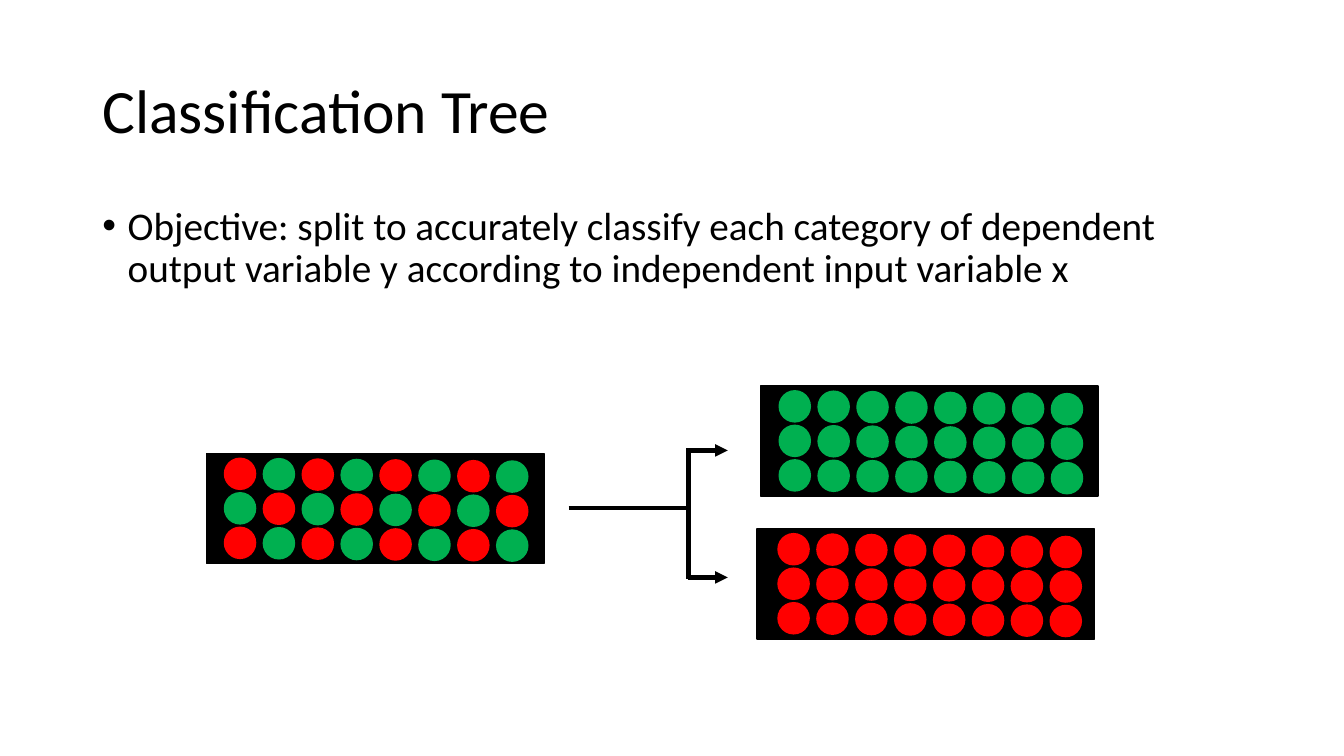
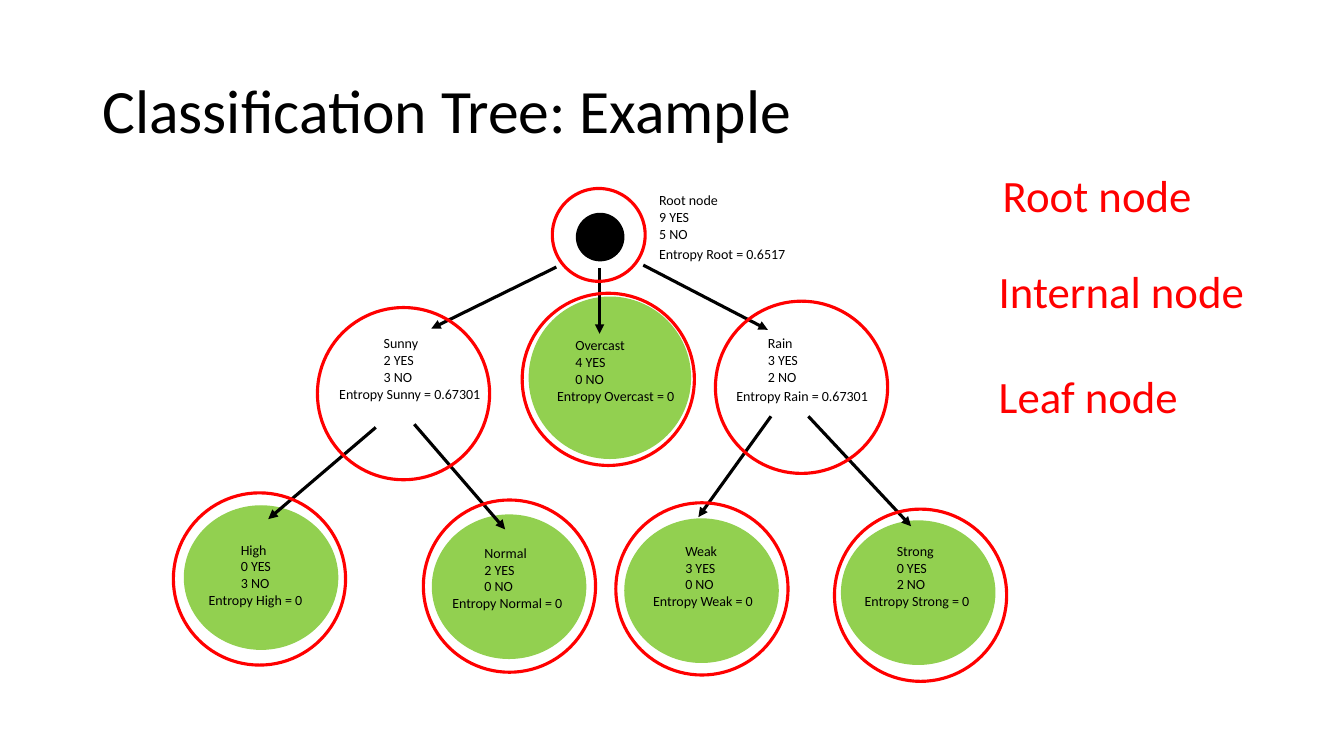
from dataclasses import dataclass

from lxml import etree
from pptx import Presentation
from pptx import util as u
from pptx.dml.color import RGBColor
from pptx.enum import shapes, text
from pptx.oxml.ns import qn

FONT = "Calibri"
INK, RED, GREEN, LIME = "000000", "FF0000", "00B050", "92D050"
CIRCLE = shapes.MSO_SHAPE.OVAL
DISC = shapes.MSO_SHAPE.FLOWCHART_CONNECTOR

Point = tuple[float, float]
Box = tuple[float, float, float, float]


@dataclass(frozen=True)
class Panel:
    """A box of dots whose colours alternate along rows and columns."""
    left: float
    top: float
    inset: float
    colours: tuple[str, ...]


@dataclass(frozen=True)
class Node:
    name: str
    yes: int
    no: int
    entropy: str
    label: Point
    ring: Point
    disc: Box | None = None
    disc_colour: str = LIME
    ring_size: float = 4.34
    entropy_offset: Point = (-0.81, 1.27)
    entropy_width: float = 3.3


@dataclass(frozen=True)
class Line:
    start: Point
    end: Point
    arrow: bool = True


LEAF = (3.86, 3.61)
PANELS = [
    Panel(19.16, 9.73, 0.46, (GREEN,)),
    Panel(5.2, 11.43, 0.44, (RED, GREEN)),
    Panel(19.08, 13.33, 0.51, (RED,)),
]
SPLIT_LINES = [
    Line((17.35, 11.3), (17.35, 14.6), arrow=False),
    Line((17.35, 11.35), (18.34, 11.35)),
    Line((17.35, 14.55), (18.34, 14.55)),
    Line((14.33, 12.8), (17.35, 12.8), arrow=False),
]
NODES = [
    Node("Root", 9, 5, "0.6517", (16.36, 4.7), (13.92, 4.75),
         (14.53, 5.38, 1.19, 1.19), INK, 2.34, (0, 1.35), 7.49),
    Node("Sunny", 2, 3, "0.67301", (9.42, 8.31), (8, 7.75),
         entropy_offset=(-1.12, 1.29), entropy_width=7.49),
    Node("Overcast", 4, 0, "0", (14.25, 8.36), (13.16, 7.39),
         (13.34, 7.49, 4.06, 4.06),
         entropy_offset=(-0.46, 1.27), entropy_width=6.15),
    Node("Rain", 3, 2, "0.67301", (19.1, 8.31), (18.03, 7.59),
         entropy_offset=(-0.79, 1.34), entropy_width=8),
    Node("High", 0, 3, "0", (5.82, 13.51), (4.37, 12.42), (4.65, 12.75, *LEAF)),
    Node("Normal", 2, 0, "0", (11.96, 13.59), (10.67, 12.6),
         (10.9, 12.98, *LEAF), entropy_width=3.56),
    Node("Weak", 3, 0, "0", (17.02, 13.54), (15.52, 12.67), (15.75, 13.08, *LEAF)),
    Node("Strong", 0, 2, "0", (22.35, 13.54), (21.03, 12.83), (21.21, 13.13, *LEAF)),
]
BRANCHES = [
    Line((14.02, 6.73), (10.87, 8.28)),
    Line((15.11, 6.76), (15.11, 8.41)),
    Line((16.21, 6.68), (19.35, 8.31)),
    Line((9.47, 10.77), (6.76, 13.08)),
    Line((10.44, 10.69), (12.73, 13.34)),
    Line((20.37, 10.49), (22.96, 13.26)),
    Line((19.43, 10.49), (17.6, 13.03)),
]
LEGEND = [
    ("Root node", (25.02, 4.09, 6.58, 1.63)),
    ("Internal node", (24.92, 6.53, 8.43, 1.63)),
    ("Leaf node", (24.92, 9.17, 8.43, 1.63)),
]


def rgb(colour: str) -> RGBColor:
    return RGBColor.from_string(colour)


def cm(values: tuple[float, ...]) -> list[int]:
    return [u.Cm(v) for v in values]


def add_shape(parent, kind, box: Box, fill: str | None = None,
              line: str | None = None, width: float = 1):
    """Draw a preset shape on a slide's or group's shapes."""
    sp = parent.add_shape(kind, *cm(box))
    sp.shadow.inherit = False
    if fill:
        sp.fill.solid()
        sp.fill.fore_color.rgb = rgb(fill)
    else:
        sp.fill.background()
    if line:
        sp.line.color.rgb = rgb(line)
        sp.line.width = u.Pt(width)
    else:
        sp.line.fill.background()
    return sp


def add_text(slide, content: str, box: Box, size: float,
             colour: str = INK, spacing: float | None = None):
    """Add a text box, one paragraph for each line of the content."""
    tf = slide.shapes.add_textbox(*cm(box)).text_frame
    tf.word_wrap = True
    tf.text = content
    for p in tf.paragraphs:
        p.line_spacing = spacing
        for r in p.runs:
            r.font.name = FONT
            r.font.size = u.Pt(size)
            r.font.color.rgb = rgb(colour)
    return tf


def add_line(slide, line: Line, width: float) -> None:
    sp = slide.shapes.add_connector(
        shapes.MSO_CONNECTOR.STRAIGHT, *cm(line.start), *cm(line.end))
    sp.line.color.rgb = rgb(INK)
    sp.line.width = u.Pt(width)
    if line.arrow:
        etree.SubElement(sp.line._get_or_add_ln(), qn("a:tailEnd"), type="triangle")
    etree.SubElement(sp._element.spPr, qn("a:effectLst"))


def add_bullet(p) -> None:
    p.space_before = u.Pt(10)
    pPr = p._p.get_or_add_pPr()
    indent = u.Cm(0.64)
    pPr.set("marL", str(indent))
    pPr.set("indent", str(-indent))
    etree.SubElement(pPr, qn("a:buFont"), typeface="Arial")
    etree.SubElement(pPr, qn("a:buChar"), char="•")


def add_titled_slide(prs, title: str):
    slide = prs.slides.add_slide(prs.slide_layouts[6])
    tf = add_text(slide, title, (2.33, 1.01, 29.21, 3.68), 44, spacing=0.9)
    tf.vertical_anchor = text.MSO_ANCHOR.MIDDLE
    return slide


def add_panel(slide, panel: Panel) -> None:
    group = slide.shapes.add_group_shape().shapes
    add_shape(group, shapes.MSO_SHAPE.RECTANGLE,
              (panel.left, panel.top, 8.51, 2.77), INK, INK)
    for row in range(3):
        for col in range(8):
            left = panel.left + panel.inset + 0.98 * col
            top = panel.top + 0.1 + 0.87 * row + 0.01 * col
            colour = panel.colours[(row + col) % len(panel.colours)]
            add_shape(group, CIRCLE, (left, top, 0.82, 0.82), colour)


def add_node_text(slide, node: Node) -> None:
    heading = "Root node" if node.name == "Root" else node.name
    add_text(slide, f"{heading}\n{node.yes} YES\n{node.no} NO",
             (*node.label, 2.9, 1.55), 10)
    left, top = (a + b for a, b in zip(node.label, node.entropy_offset))
    add_text(slide, f"Entropy {node.name} = {node.entropy}",
             (left, top, node.entropy_width, 0.69), 10)


def build_objective(prs) -> None:
    slide = add_titled_slide(prs, "Classification Tree")
    tf = add_text(
        slide,
        "Objective: split to accurately classify each category of dependent "
        "output variable y according to independent input variable x",
        (2.33, 5.07, 29.21, 12.09), 28, spacing=0.9)
    add_bullet(tf.paragraphs[0])
    for panel in PANELS:
        add_panel(slide, panel)
    for line in SPLIT_LINES:
        add_line(slide, line, 3)


def build_example(prs) -> None:
    slide = add_titled_slide(prs, "Classification Tree: Example")
    for node in NODES:
        if node.disc:
            add_shape(slide.shapes, DISC, node.disc, node.disc_colour, node.disc_colour)
    for line in BRANCHES:
        add_line(slide, line, 2.25)
    for node in NODES:
        add_node_text(slide, node)
        add_shape(slide.shapes, CIRCLE, (*node.ring, node.ring_size, node.ring_size),
                  line=RED, width=2.25)
    for name, box in LEGEND:
        add_text(slide, name, box, 32, RED)


def main() -> None:
    prs = Presentation()
    prs.slide_width, prs.slide_height = u.Cm(33.87), u.Cm(19.05)
    build_objective(prs)
    build_example(prs)
    prs.save("out.pptx")


if __name__ == "__main__":
    main()
